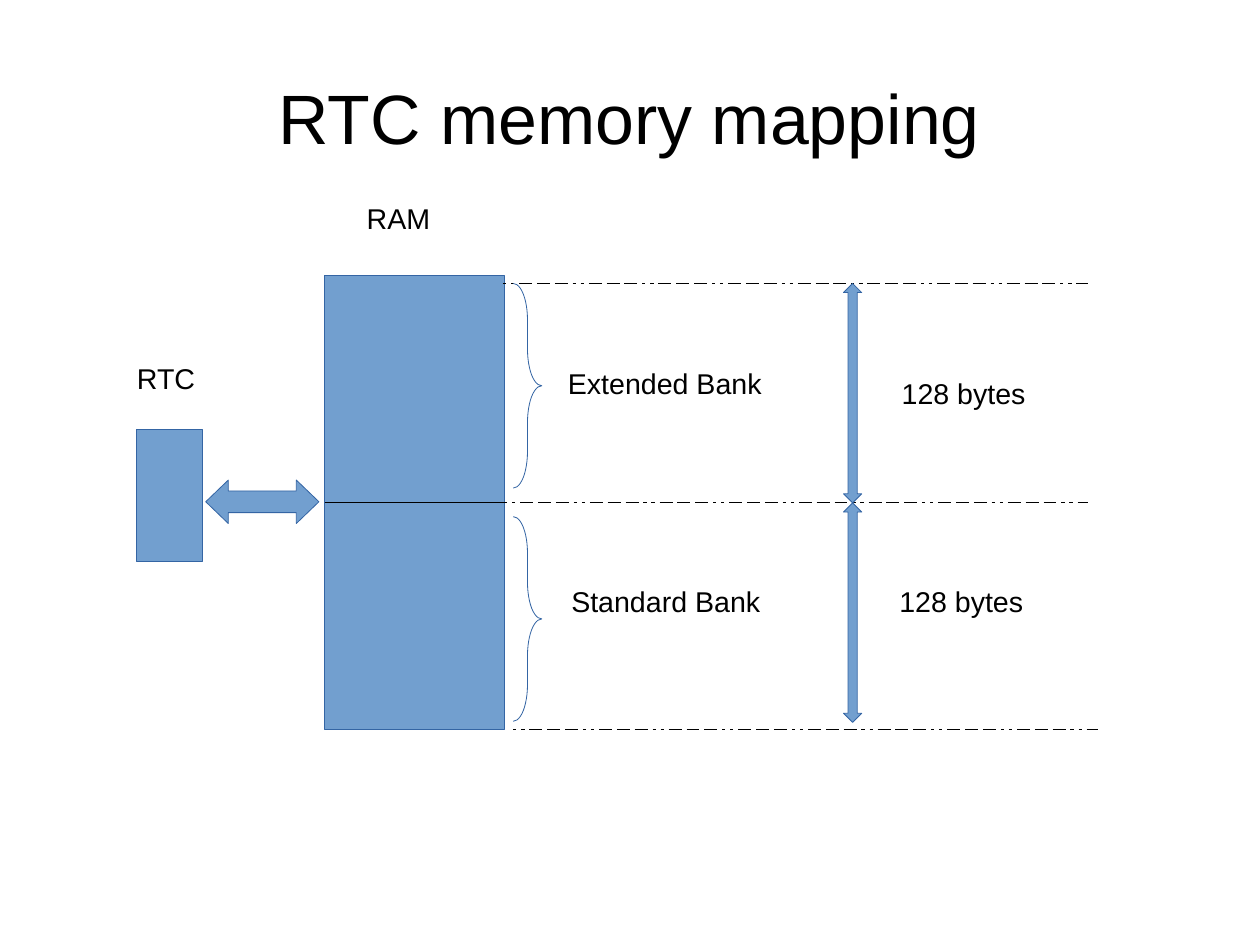
from lxml import etree
from pptx import Presentation
from pptx.dml.color import RGBColor
from pptx.enum.shapes import MSO_CONNECTOR, MSO_SHAPE
from pptx.enum.text import MSO_ANCHOR, MSO_AUTO_SIZE, PP_ALIGN
from pptx.oxml.ns import qn
from pptx.util import Inches, Pt

RECTANGLE = MSO_SHAPE.RECTANGLE
BRACE = MSO_SHAPE.RIGHT_BRACE
WIDE_ARROW = MSO_SHAPE.LEFT_RIGHT_ARROW
TALL_ARROW = MSO_SHAPE.UP_DOWN_ARROW
STRAIGHT = MSO_CONNECTOR.STRAIGHT
MIDDLE = MSO_ANCHOR.MIDDLE
FIXED = MSO_AUTO_SIZE.NONE
CENTER = PP_ALIGN.CENTER

BLUE = RGBColor(0x72, 0x9F, 0xCF)
EDGE = RGBColor(0x34, 0x65, 0xA4)
BLACK = RGBColor(0, 0, 0)

CM_PER_INCH = 2.54
HAIRLINE = Pt(0.5)
LEFT_SIDE, RIGHT_SIDE = 1, 3
DASH_PATTERN = [("400000", 2), ("1600000", 3)]
DASH_GAP = "600000"
TITLE_FRAME = {"margin_left": 0, "margin_right": 0, "margin_top": 0,
               "margin_bottom": 0, "vertical_anchor": MIDDLE,
               "auto_size": FIXED, "word_wrap": True}

LABELS = [
    ("RAM", 3.11, 1.71, 0.79),
    ("RTC", 1.1, 3.11, 0.74),
    ("Extended Bank", 4.87, 3.15, 1.98),
    ("Standard Bank", 4.9, 5.06, 1.94),
    ("128 bytes", 7.79, 3.24, 1.34),
    ("128 bytes", 7.77, 5.06, 1.34),
]


def write(frame, text, size):
    para = frame.paragraphs[0]
    span = para.add_run()
    span.text = text
    for name, value in {"name": "Arial", "size": Pt(size)}.items():
        setattr(span.font, name, value)
    span.font.color.rgb = BLACK
    return para


def add_title(page, text):
    title = page.shapes.title
    place = {"left": 0.55, "top": 0.33, "width": 9.92, "height": 1.38}
    for name, value in place.items():
        setattr(title, name, Inches(value))
    for name, value in TITLE_FRAME.items():
        setattr(title.text_frame, name, value)
    write(title.text_frame, text, 44).alignment = CENTER


def add_label(page, text, left, top, width):
    box = page.shapes.add_textbox(
        Inches(left), Inches(top), Inches(width), Inches(0.62))
    box.text_frame.word_wrap = True
    write(box.text_frame, text, 18)


def add_figure(page, kind, left, top, width, height, adjustments=()):
    figure = page.shapes.add_shape(
        kind, Inches(left), Inches(top), Inches(width), Inches(height))
    figure.shadow.inherit = False
    for index, value in enumerate(adjustments):
        figure.adjustments[index] = value
    if kind == BRACE:
        figure.fill.background()
    else:
        figure.fill.solid()
        figure.fill.fore_color.rgb = BLUE
    figure.line.color.rgb = EDGE
    figure.line.width = HAIRLINE
    return figure


def add_line(page, start, end, y):
    line = page.shapes.add_connector(
        STRAIGHT, Inches(start), Inches(y), Inches(end), Inches(y))
    line.line.color.rgb = BLACK
    line.line.width = HAIRLINE
    etree.SubElement(line._element.spPr, qn("a:effectLst"))
    return line


def add_dashed_line(page, start, y):
    line = add_line(page, start, start + 5.12, y)
    dashes = etree.SubElement(line.line._get_or_add_ln(), qn("a:custDash"))
    for length, count in DASH_PATTERN:
        for _ in range(count):
            etree.SubElement(dashes, qn("a:ds"), d=length, sp=DASH_GAP)
    return line


def main():
    deck = Presentation()
    deck.slide_width = Inches(28 / CM_PER_INCH)
    deck.slide_height = Inches(21 / CM_PER_INCH)
    page = deck.slides.add_slide(deck.slide_layouts[5])
    add_title(page, "RTC memory mapping")

    add_figure(page, RECTANGLE, 1.19, 3.76, 0.58, 1.15)
    add_figure(page, WIDE_ARROW, 1.8, 4.2, 0.99, 0.38, [0.5, 0.52])
    ram = add_figure(page, RECTANGLE, 2.84, 2.41, 1.57, 3.97)
    divider = add_line(page, 2.84, 4.41, 4.39)
    divider.begin_connect(ram, LEFT_SIDE)
    divider.end_connect(ram, RIGHT_SIDE)

    add_dashed_line(page, 4.4, 2.48)
    middle_line = add_dashed_line(page, 4.4, 4.39)
    middle_line.begin_connect(ram, RIGHT_SIDE)
    middle_line.end_y = middle_line.begin_y
    add_dashed_line(page, 4.49, 6.38)

    for brace_top, arrow_top in [(2.48, 2.48), (4.52, 4.4)]:
        add_figure(page, BRACE, 4.49, brace_top, 0.25, 1.79, [1.28, 0.5])
        add_figure(page, TALL_ARROW, 7.38, arrow_top, 0.16, 1.92, [2.32, 0.5])
    for label in LABELS:
        add_label(page, *label)

    deck.save("out.pptx")


if __name__ == "__main__":
    main()
